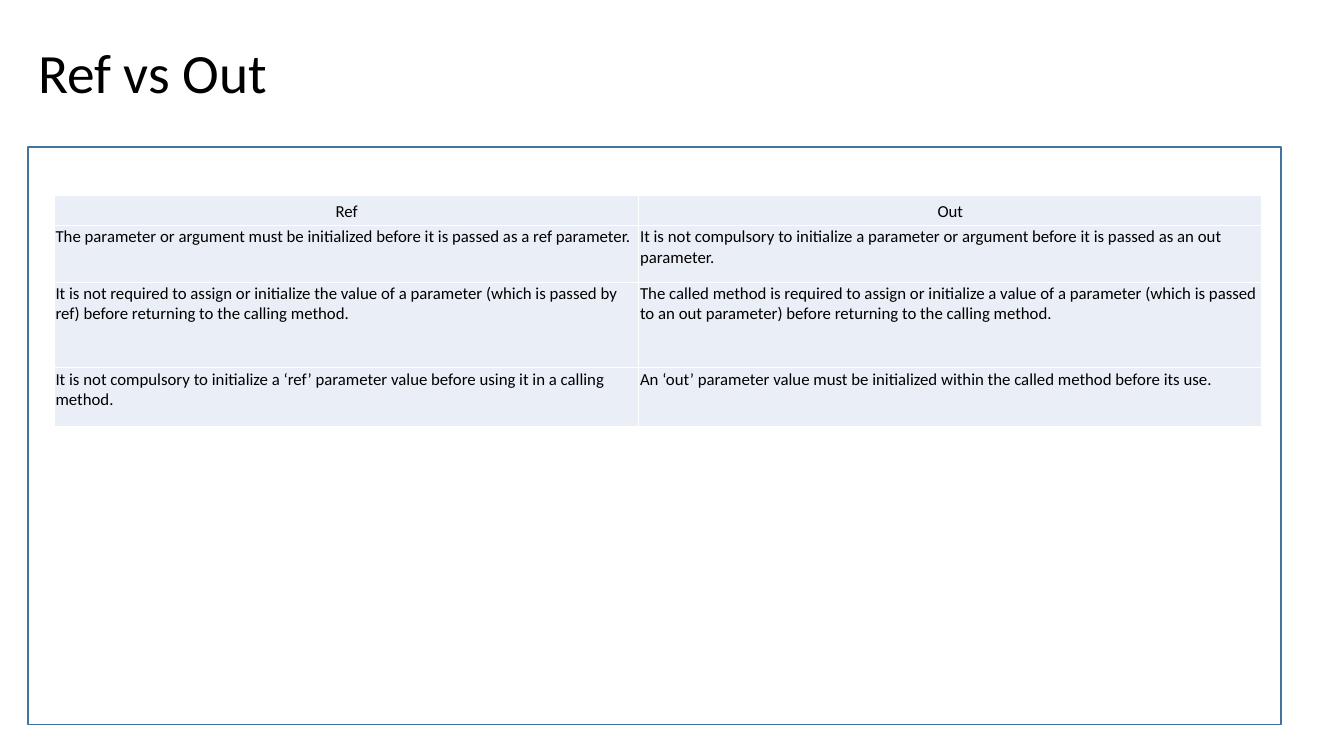
from typing import NamedTuple

from lxml import etree
from pptx import Presentation
from pptx.dml.color import RGBColor
from pptx.enum.shapes import MSO_SHAPE
from pptx.enum.text import MSO_ANCHOR, PP_ALIGN
from pptx.oxml.ns import qn
from pptx.util import Cm, Pt

RECTANGLE = MSO_SHAPE.RECTANGLE
TOP, MIDDLE = MSO_ANCHOR.TOP, MSO_ANCHOR.MIDDLE
LEFT, CENTER = PP_ALIGN.LEFT, PP_ALIGN.CENTER

BLACK = RGBColor(0x00, 0x00, 0x00)
WHITE = RGBColor(0xFF, 0xFF, 0xFF)
FRAME_BLUE = RGBColor(0x43, 0x73, 0x9E)
CELL_BLUE = RGBColor(0xEA, 0xEF, 0xF7)

FONT = "Calibri"
BLANK_LAYOUT = 6
MARGIN_LEFT = Cm(0.71)
COLUMN_WIDTHS = (Cm(14.73), Cm(15.7))


class Comparison(NamedTuple):
    ref: str
    out: str
    height: Cm
    align: PP_ALIGN = LEFT
    anchor: MSO_ANCHOR = TOP


COMPARISONS = (
    Comparison("Ref", "Out", Cm(0.76), CENTER, MIDDLE),
    Comparison(
        "The parameter or argument must be initialized before it is passed as a ref parameter.",
        "It is not compulsory to initialize a parameter or argument before it is passed "
        "as an out parameter.",
        Cm(1.42),
    ),
    Comparison(
        "It is not required to assign or initialize the value of a parameter (which is passed "
        "by ref) before returning to the calling method.",
        "The called method is required to assign or initialize a value of a parameter (which is "
        "passed to an out parameter) before returning to the calling method.",
        Cm(2.16),
    ),
    Comparison(
        "It is not compulsory to initialize a ‘ref’ parameter value before using it "
        "in a calling method.",
        "An ‘out’ parameter value must be initialized within the called method before its use.",
        Cm(1.47),
    ),
)


def add_run(paragraph, text: str, size: float) -> None:
    run = paragraph.add_run()
    run.text = text
    run.font.name = FONT
    run.font.size = Pt(size)
    run.font.color.rgb = BLACK


def add_title(slide, text: str) -> None:
    title = slide.shapes.add_textbox(MARGIN_LEFT, Cm(1.02), Cm(30.81), Cm(1.75))
    frame = title.text_frame
    frame.word_wrap = True
    frame.vertical_anchor = MIDDLE
    paragraph = frame.paragraphs[0]
    paragraph.line_spacing = 0.9
    add_run(paragraph, text, 39.6)


def add_content_frame(slide) -> None:
    border = slide.shapes.add_shape(RECTANGLE, MARGIN_LEFT, Cm(3.71), Cm(31.57), Cm(14.55))
    border.shadow.inherit = False
    border.fill.background()
    border.line.color.rgb = FRAME_BLUE
    border.line.width = Pt(1)


def set_cell_borders(cell, color: RGBColor, width: Pt) -> None:
    properties = cell._tc.get_or_add_tcPr()
    for side in ("a:lnL", "a:lnR", "a:lnT", "a:lnB"):
        line = etree.SubElement(properties, qn(side), w=str(width))
        fill = etree.SubElement(line, qn("a:solidFill"))
        etree.SubElement(fill, qn("a:srgbClr"), val=str(color))


def fill_cell(cell, text: str, row: Comparison) -> None:
    set_cell_borders(cell, WHITE, Pt(1))
    cell.fill.solid()
    cell.fill.fore_color.rgb = CELL_BLUE
    cell.margin_left = cell.margin_right = cell.margin_top = Cm(0.03)
    cell.margin_bottom = Cm(0)
    cell.vertical_anchor = row.anchor
    paragraph = cell.text_frame.paragraphs[0]
    paragraph.alignment = row.align
    add_run(paragraph, text, 12)


def add_comparison_table(slide) -> None:
    table = slide.shapes.add_table(
        len(COMPARISONS), len(COLUMN_WIDTHS), Cm(1.37), Cm(4.93),
        sum(COLUMN_WIDTHS), sum(row.height for row in COMPARISONS),
    ).table
    table.first_row = False
    table.horz_banding = False
    for column, width in zip(table.columns, COLUMN_WIDTHS):
        column.width = width
    for table_row, row in zip(table.rows, COMPARISONS):
        table_row.height = row.height
        for cell, text in zip(table_row.cells, (row.ref, row.out)):
            fill_cell(cell, text, row)


def main() -> None:
    presentation = Presentation()
    presentation.slide_width = Cm(33.87)
    presentation.slide_height = Cm(19.05)
    slide = presentation.slides.add_slide(presentation.slide_layouts[BLANK_LAYOUT])
    add_title(slide, "Ref vs Out")
    add_content_frame(slide)
    add_comparison_table(slide)
    presentation.save("out.pptx")


if __name__ == "__main__":
    main()
